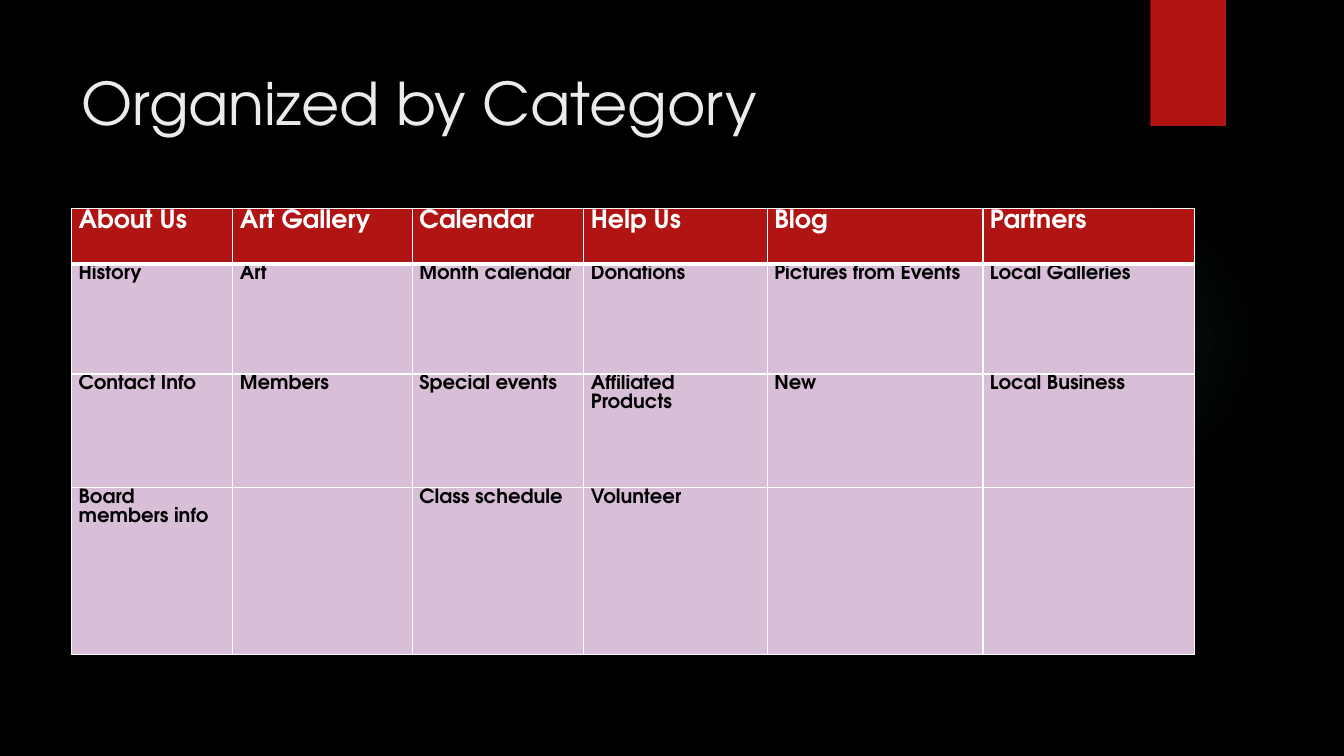
from lxml import etree
from pptx import Presentation
from pptx.dml.color import RGBColor
from pptx.enum.shapes import MSO_SHAPE
from pptx.enum.text import MSO_ANCHOR
from pptx.oxml import parse_xml
from pptx.oxml.ns import nsdecls, qn
from pptx.util import Inches, Pt

OVAL = MSO_SHAPE.OVAL
RECT = MSO_SHAPE.RECTANGLE
MIDDLE = MSO_ANCHOR.MIDDLE
TOP = MSO_ANCHOR.TOP
FONT = "TeX Gyre Adventor"
HUES = {
    "back": "000000",
    "glow": "50B9C1",
    "red": "B01513",
    "title": "EBEBEB",
    "lilac": "D9BED7",
    "white": "FFFFFF",
    "black": "000000",
}
WIDE, HIGH = 13.33, 7.5
COLS = [1.6, 1.78, 1.7, 1.82, 2.14, 2.1]
ROWS = [0.55, 1.09, 1.13, 1.65]
CELLS = [
    ["About Us", "Art Gallery", "Calendar", "Help Us", "Blog", "Partners"],
    ["History", "Art", "Month calendar", "Donations", "Pictures from Events", "Local Galleries"],
    ["Contact Info", "Members", "Special events", "Affiliated Products", "New", "Local Business"],
    ["Board members info", "", "Class schedule", "Volunteer", "", ""],
]


def hue(name):
    return RGBColor.from_string(HUES[name])


def paint(fill, name):
    fill.solid()
    fill.fore_color.rgb = hue(name)


def write(para, text, size, name, bold=False):
    run = para.add_run()
    run.text = text
    run.font.name = FONT
    run.font.size = Pt(size)
    run.font.bold = bold
    run.font.color.rgb = hue(name)


def add_form(slide, kind, box):
    form = slide.shapes.add_shape(kind, *map(Inches, box))
    form.shadow.inherit = False
    form.line.fill.background()
    return form


def add_glow(slide, box):
    form = add_form(slide, OVAL, box)
    form.fill.background()
    stops = "".join(
        f'<a:gs pos="{pos * 1000}"><a:srgbClr val="{HUES["glow"]}">'
        f'<a:alpha val="{alpha * 1000}"/></a:srgbClr></a:gs>'
        for pos, alpha in [(0, 7), (36, 6), (69, 0), (100, 0)]
    )
    grad = parse_xml(
        f'<a:gradFill {nsdecls("a")} rotWithShape="1"><a:gsLst>{stops}</a:gsLst>'
        '<a:path path="circle"><a:fillToRect l="50000" t="50000" r="50000" b="50000"/>'
        '</a:path></a:gradFill>'
    )
    props = form.fill._xPr
    props.replace(props.find(qn("a:noFill")), grad)


def add_tab(slide, box):
    paint(add_form(slide, RECT, box).fill, "red")


def add_title(slide, box, text):
    frame = slide.shapes.add_textbox(*map(Inches, box)).text_frame
    frame.word_wrap = True
    frame.vertical_anchor = MIDDLE
    write(frame.paragraphs[0], text, 42, "title")


def edge(cell, widths):
    props = cell._tc.get_or_add_tcPr()
    for spot, (side, width) in enumerate(widths.items()):
        line = etree.Element(qn("a:ln" + side), w=str(Pt(width)))
        solid = etree.SubElement(line, qn("a:solidFill"))
        etree.SubElement(solid, qn("a:srgbClr"), val=HUES["white"])
        props.insert(spot, line)


def add_grid(slide, left, top):
    box = map(Inches, (left, top, sum(COLS), sum(ROWS)))
    table = slide.shapes.add_table(len(ROWS), len(COLS), *box).table
    table.horz_banding = False
    for col, width in zip(table.columns, COLS):
        col.width = Inches(width)
    for row, height in zip(table.rows, ROWS):
        row.height = Inches(height)
    for r, texts in enumerate(CELLS):
        head = r == 0
        for c, text in enumerate(texts):
            cell = table.cell(r, c)
            cell.margin_left = cell.margin_right = Inches(0.07)
            cell.margin_top = cell.margin_bottom = 0
            cell.vertical_anchor = TOP
            paint(cell.fill, "red" if head else "lilac")
            edge(cell, {"L": 1, "R": 1, "T": 3 if r == 1 else 1, "B": 3 if head else 1})
            if text:
                para = cell.text_frame.paragraphs[0]
                para.line_spacing = 1.07
                write(para, text, 18 if head else 14, "white" if head else "black", True)


def main():
    deck = Presentation()
    deck.slide_width, deck.slide_height = Inches(WIDE), Inches(HIGH)
    slide = deck.slides.add_slide(deck.slide_layouts[6])
    paint(slide.background.fill, "back")
    left = 0.71
    add_glow(slide, (9.41, 1.83, 3.08, 3.08))
    add_tab(slide, (11.41, 0, HIGH / 10, HIGH / 6))
    add_title(slide, (left, HIGH / 15, 10.29, 1.03), "Organized by Category")
    add_grid(slide, left, 2.07)
    deck.save("out.pptx")


if __name__ == "__main__":
    main()
